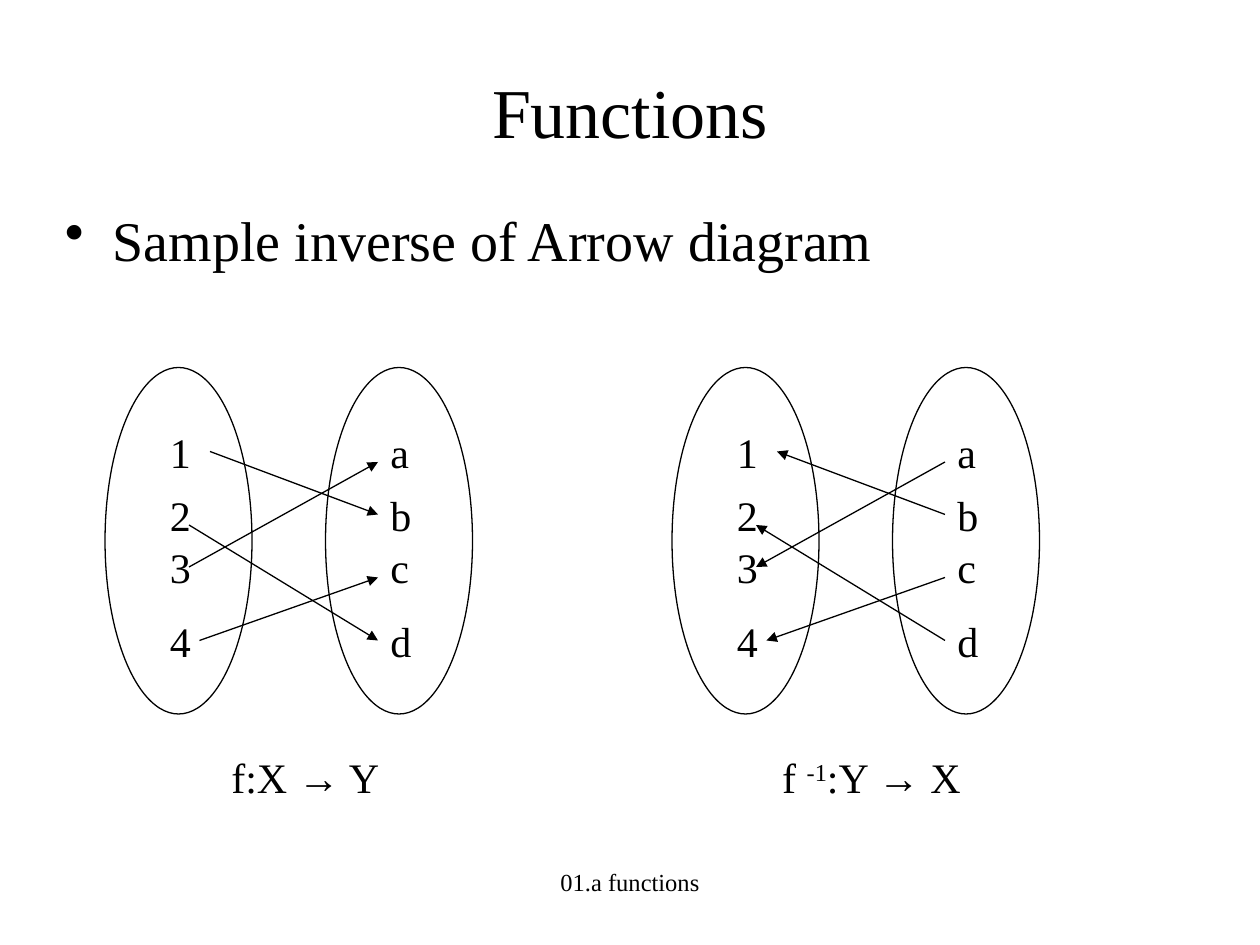
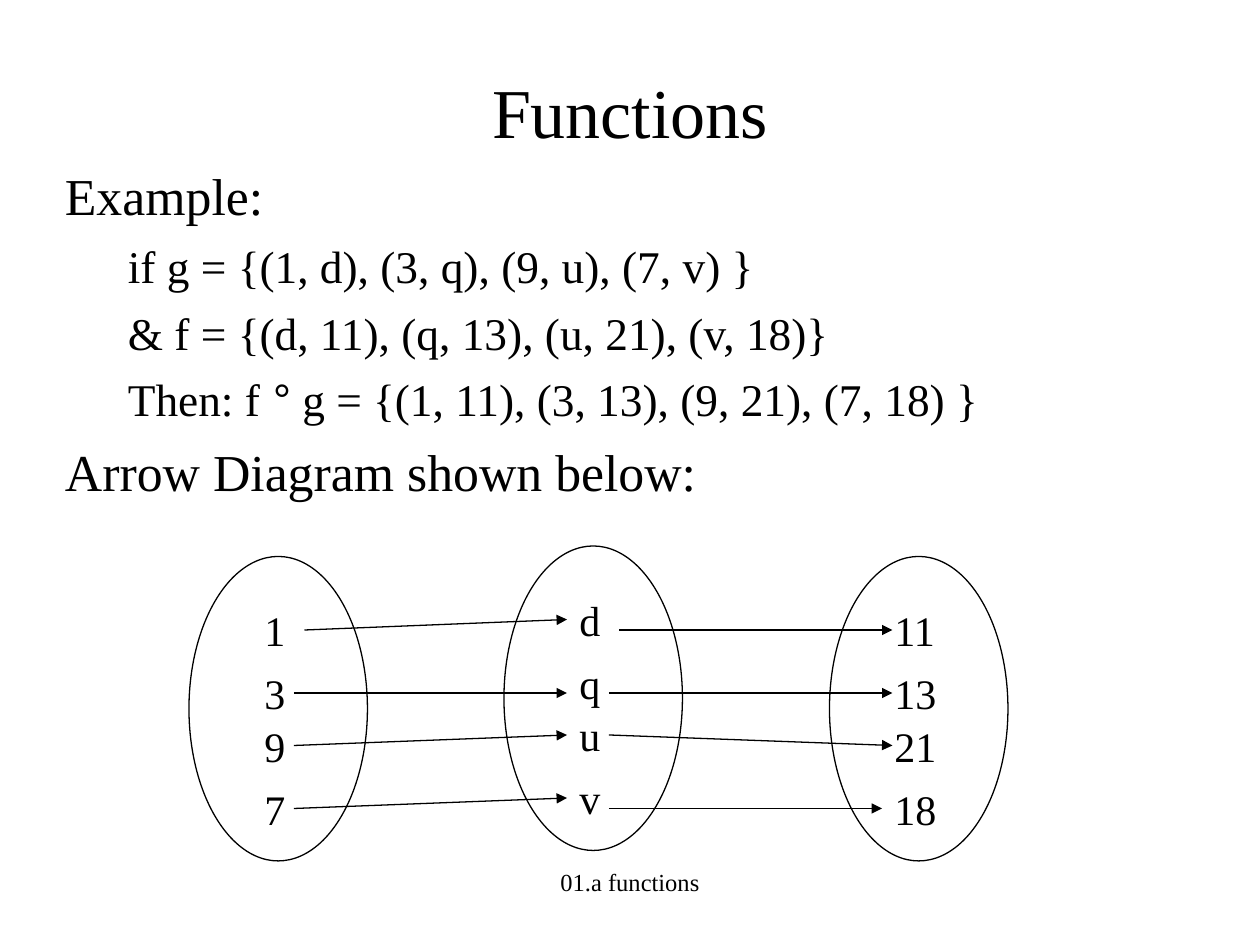
from pptx import Presentation
from pptx.dml.color import RGBColor
from pptx.enum.shapes import MSO_CONNECTOR, MSO_SHAPE
from pptx.enum.text import MSO_ANCHOR, MSO_AUTO_SIZE, PP_ALIGN
from pptx.oxml.ns import qn
from pptx.util import Inches, Pt
from lxml.etree import SubElement

INK = "000000"
FACE = "Times New Roman"
COLS, ROWS = 120, 90
MAIN = dict(left=0.38, hang=-0.38, gap=8)
SUB = dict(left=0.81, hang=-0.31, gap=7, level=1)


def tint(code):
    """Turn a hex string into a colour."""
    return RGBColor.from_string(code)


def put(item, **vals):
    """Set each named value as an attribute of the item."""
    for key, val in vals.items():
        setattr(item, key, val)


class Deck:
    """Holds the style, the current slide and the current drawing group."""

    def __init__(self):
        """Start an empty deck with a fine grid."""
        self.show = Presentation()
        put(self.show, slide_width=Inches(10), slide_height=Inches(7.5))
        self.ports = {}

    def cell(self, x, y):
        """Turn a column and a row into lengths."""
        return (int(self.show.slide_width * x / COLS),
                int(self.show.slide_height * y / ROWS))

    def page(self, title):
        """Add a slide with its title and footer."""
        self.slide = self.show.slides.add_slide(self.show.slide_layouts[5])
        self.pen = self.slide.shapes
        head = self.pen.title
        left, top = self.cell(9, 3)
        wide, high = self.cell(102, 15)
        put(head, left=left, top=top, width=wide, height=high)
        self.frame(head, MSO_ANCHOR.MIDDLE)
        self.line(head.text_frame.paragraphs[0], title, 40, PP_ALIGN.CENTER)
        self.text((41, 82, 38, 6), "01.a functions", 14, PP_ALIGN.CENTER)

    def group(self):
        """Open a new group for the next drawing."""
        self.pen = self.slide.shapes.add_group_shape().shapes
        self.ports = {}

    def frame(self, box, anchor=MSO_ANCHOR.TOP):
        """Give a text frame the shared settings."""
        put(box.text_frame, word_wrap=True, auto_size=MSO_AUTO_SIZE.NONE,
            vertical_anchor=anchor)

    def line(self, para, text, size, align=PP_ALIGN.LEFT):
        """Fill a paragraph with a string or with pairs of text and format."""
        put(para, alignment=align, space_before=Pt(0))
        for part, form in [(text, {})] if isinstance(text, str) else text:
            run = para.add_run()
            run.text = part
            form = dict(form)
            base = form.pop("base", None)
            put(run.font, **{"size": Pt(size), "name": FACE, **form})
            run.font.color.rgb = tint(INK)
            if base:
                run.font._element.set("baseline", base)

    def text(self, area, text, size=24, align=PP_ALIGN.LEFT):
        """Add a text box of one paragraph."""
        box = self.pen.add_textbox(*self.cell(*area[:2]), *self.cell(*area[2:]))
        self.frame(box)
        self.line(box.text_frame.paragraphs[0], text, size, align)
        return box

    def body(self, area, rows):
        """Add a box of indented paragraphs."""
        box = self.pen.add_textbox(*self.cell(*area[:2]), *self.cell(*area[2:]))
        self.frame(box)
        for pos, (text, size, form, mark) in enumerate(rows):
            para = (box.text_frame.add_paragraph() if pos
                    else box.text_frame.paragraphs[0])
            para.level = form.get("level", 0)
            props = para._p.get_or_add_pPr()
            props.set("marL", str(Inches(form["left"])))
            props.set("indent", str(Inches(form["hang"])))
            if mark:
                SubElement(props, qn("a:buChar")).set("char", mark)
            else:
                SubElement(props, qn("a:buNone"))
            self.line(para, text, size)
            if pos:
                para.space_before = Pt(form["gap"])

    def stroke(self, item):
        """Give an outline the shared line."""
        item.line.color.rgb = tint(INK)
        item.line.width = Pt(0.75)

    def oval(self, area):
        """Add an unfilled ellipse."""
        item = self.pen.add_shape(MSO_SHAPE.OVAL, *self.cell(*area[:2]),
                                  *self.cell(*area[2:]))
        item.shadow.inherit = False
        item.fill.background()
        self.stroke(item)

    def set(self, area, names, x, tops, wide):
        """Add an ellipse with its members, and note where arrows can join."""
        self.oval(area)
        for name, top in zip(names, tops):
            box = self.text((x, top, wide, 6), name)
            self.ports[x, top + 3] = box, 1
            self.ports[x + wide, top + 3] = box, 3

    def arrow(self, start, end, tip="tailEnd"):
        """Add an arrow, joined to a member where it meets one."""
        item = self.pen.add_connector(MSO_CONNECTOR.STRAIGHT,
                                      *self.cell(*start), *self.cell(*end))
        self.stroke(item)
        SubElement(item.line._get_or_add_ln(), qn("a:" + tip)).set("type", "triangle")
        SubElement(item._element.spPr, qn("a:effectLst"))
        if start in self.ports:
            item.begin_connect(*self.ports[start])
        if end in self.ports:
            item.end_connect(*self.ports[end])


def inverse(deck):
    """Build the slide of a function and its inverse."""
    deck.page("Functions")
    deck.body((5, 19, 111, 14), [("Sample inverse of Arrow diagram", 32, MAIN, "•")])
    tops = 40, 46, 51, 58
    links = [(20, 43, 49), (18, 50, 61), (19, 61, 55), (18, 54, 44)]
    back = [("f ", {}), ("-1", {"base": "30000"}), (":Y → X ", {})]
    for dx, tip, note in [(0, "tailEnd", "f:X → Y "), (54, "headEnd", back)]:
        deck.group()
        for x, names in [(10, "1234"), (31, "abcd")]:
            deck.set((x + dx, 35, 14, 33), names, x + dx + 5, tops, 4)
        for x, y, end in links:
            deck.arrow((x + dx, y), (36 + dx, end), tip)
        deck.text((12 + dx, 71, 35, 6), note, align=PP_ALIGN.CENTER)


def compose(deck):
    """Build the slide of a composed function."""
    deck.page("Functions")
    then = [("Then: f ", {}), ("° ", {"name": "Arial", "italic": True}),
            ("g = {(1, 11), (3, 13), (9, 21), (7, 18) }", {})]
    deck.body((5, 15, 111, 35), [
        ("Example:", 29.6, MAIN, None),
        ("if g = {(1, d), (3, q), (9, u), (7, v) }", 25.9, SUB, None),
        ("& f = {(d, 11), (q, 13), (u, 21), (v, 18)}", 25.9, SUB, None),
        (then, 25.9, SUB, None),
        ("Arrow Diagram shown below:", 29.6, MAIN, None)])
    deck.group()
    for x, y, names, inner, wide in [(18, 53, "1 3 9 7", 24, 6),
                                     (79, 53, "11 13 21 18", 84, 8),
                                     (48, 52, "d q u v", 54, 6)]:
        tops = [y + step for step in (4, 10, 15, 21)]
        deck.set((x, y, 17, 29), names.split(), inner, tops, wide)
    for x, y, end in [(29, 60, 59), (28, 66, 66), (28, 71, 70), (28, 77, 76)]:
        deck.arrow((x, y), (54, end))
    for x, y, tip, end in [(59, 60, 85, 60), (58, 66, 85, 66),
                           (58, 70, 85, 71), (58, 77, 84, 77)]:
        deck.arrow((x, y), (tip, end))


def main():
    """Build both slides and save them."""
    deck = Deck()
    inverse(deck)
    compose(deck)
    deck.show.save("out.pptx")


if __name__ == "__main__":
    main()
